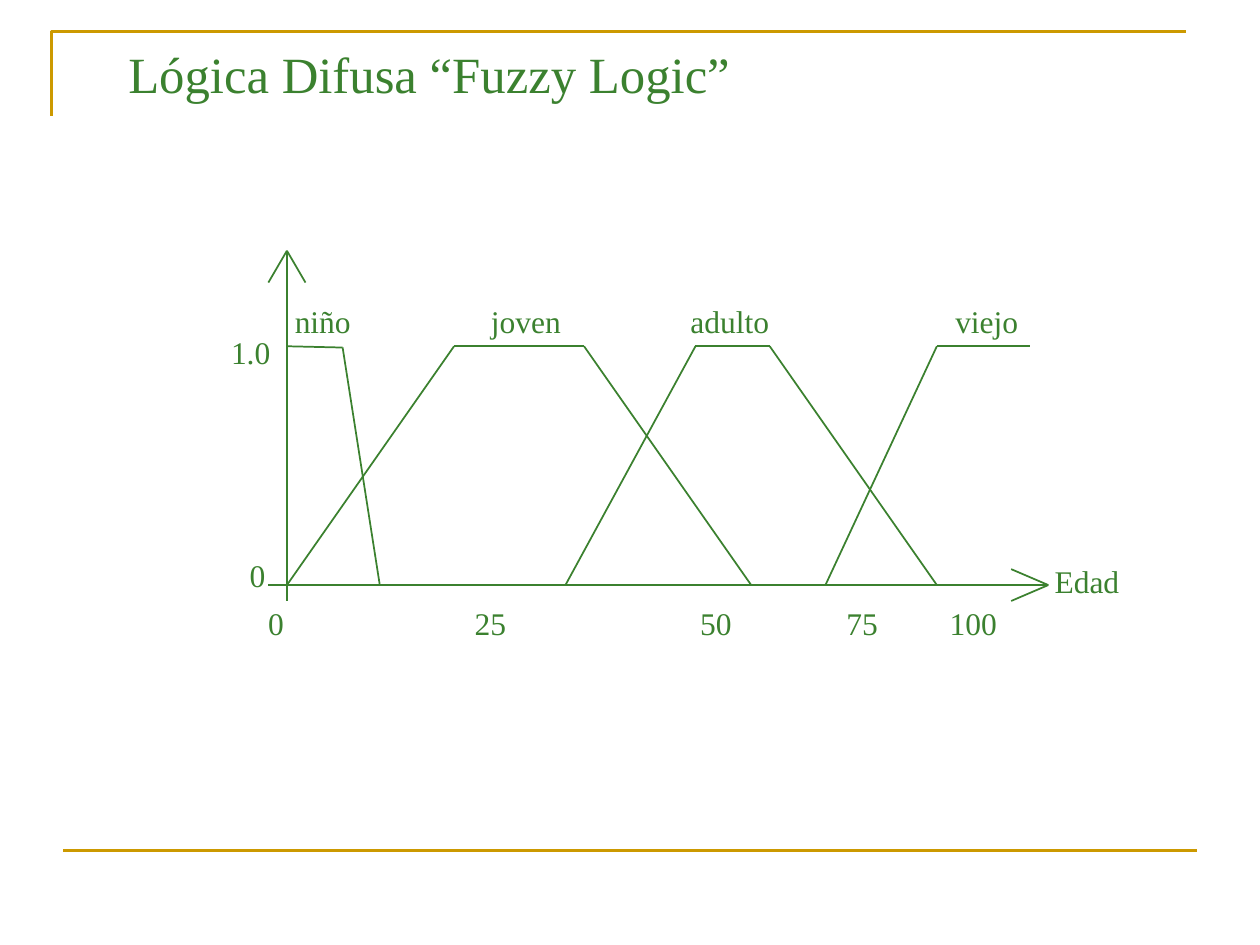
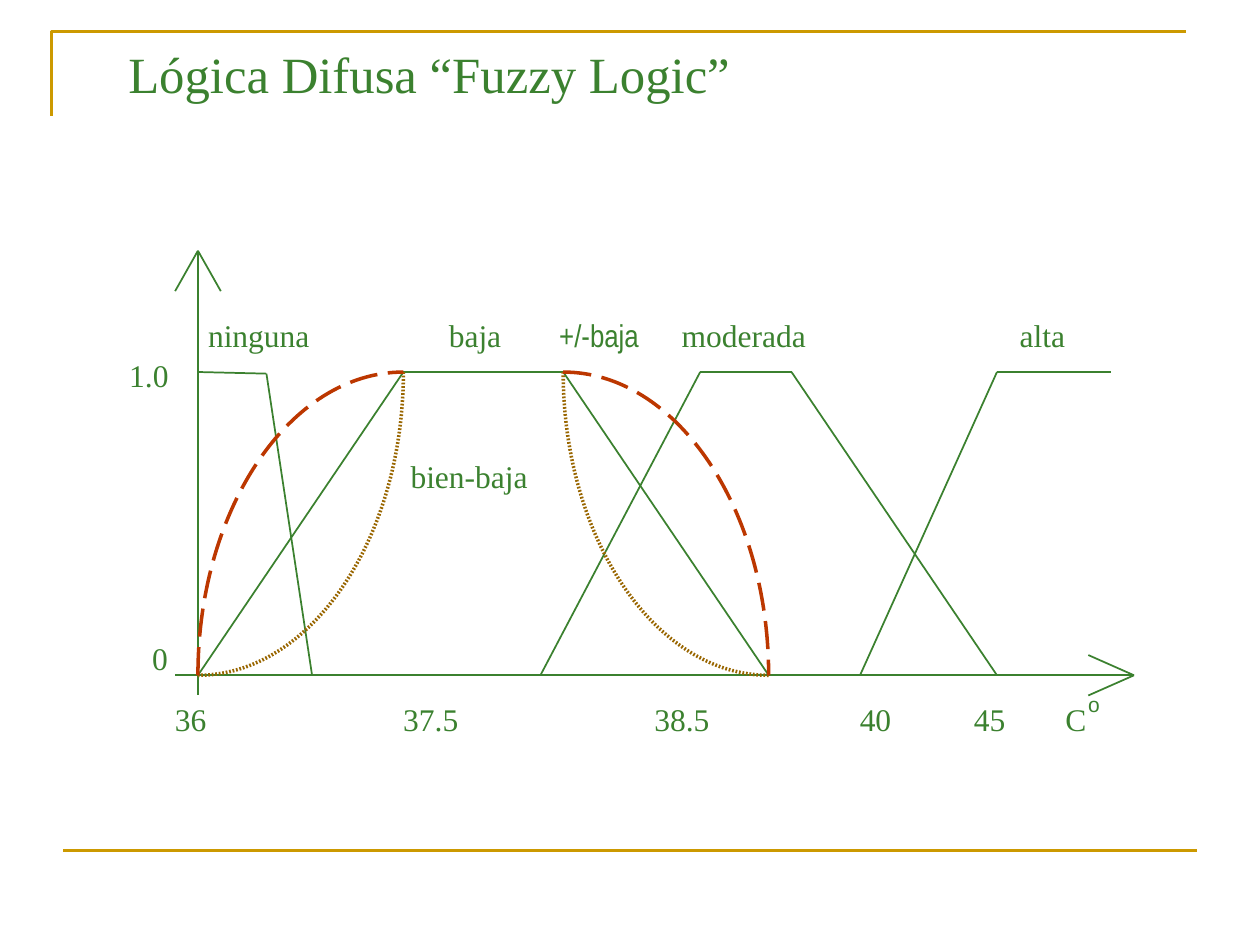
from itertools import pairwise

from lxml import etree
from pptx import Presentation
from pptx.dml.color import RGBColor
from pptx.enum import dml, shapes, text
from pptx.oxml.ns import qn
from pptx.util import Emu, Inches, Pt

WIDE, HIGH = 10, 7.5
GREEN, GOLD, BROWN, RED = "3B812F", "CC9900", "996600", "BC3700"
SERIF, SANS, NARROW = "Times New Roman", "Arial", "Arial Narrow"
PAD, SLACK = 0.1, 0.05
BEND = 0.55  # control point share for a quarter ellipse

# Plot grid: columns count from the vertical axis, rows from its tip
COLS, ROWS = 42, 22
END, PEAK, BASE = 41, 6, 21
AXES = [
    [(0, 0), (0, ROWS)],
    [(-1, BASE), (END, BASE)],
    [(-1, 2), (0, 0), (1, 2)],
    [(END - 2, BASE - 1), (END, BASE), (END - 2, BASE + 1)],
]
SETS = [
    [(0, PEAK), (3, PEAK + 0.08), (5, BASE)],
    [(0, BASE), (9, PEAK), (16, PEAK), (25, BASE)],
    [(15, BASE), (22, PEAK), (26, PEAK), (35, BASE)],
    [(29, BASE), (35, PEAK), (40, PEAK)],
]
# Quarter arcs: start, corner the tangents meet in, end, colour
ARCS = [
    ((9, PEAK), (9, BASE), (0, BASE), BROWN),
    ((25, BASE), (16, BASE), (16, PEAK), BROWN),
    ((0, BASE), (0, PEAK), (9, PEAK), RED),
    ((16, PEAK), (25, PEAK), (25, BASE), RED),
]

# Labels: text, column, row, width in inches, optional format
AGES = [
    ("0", -1, 21.8, 0.32), ("25", 10.12, 21.8, 0.45),
    ("50", 22.27, 21.8, 0.45), ("75", 30.14, 21.8, 0.45),
    ("100", 35.7, 21.8, 0.57),
    ("0", -2, 18.8, 0.32), ("1.0", -3, 4.8, 0.51),
    ("niño", 0.43, 2.85, 0.64), ("joven", 11, 2.85, 0.75),
    ("adulto", 21.74, 2.85, 0.82), ("viejo", 36, 2.85, 0.7),
    ("Edad", 41.35, 19.15, 0.71),
]
FEVER = [
    ("36", -1, 21.93, 0.45), ("37.5", 9, 21.93, 0.64),
    ("38.5", 20, 21.93, 0.64), ("40", 29, 21.93, 0.45),
    ("45", 34, 21.93, 0.45), ("C", 38, 21.93, 0.37),
    ("ο", 39, 21.5, 0.29, {"size": 12, "font": SANS}),
    ("0", -2, 18.88, 0.32), ("1.0", -3, 4.92, 0.51),
    ("ninguna", 0.45, 2.93, 1), ("baja", 11, 2.93, 0.61),
    ("+/-baja", 15.83, 2.93, 0.83, {"font": NARROW}),
    ("moderada", 21.2, 2.93, 1.18), ("alta", 36, 2.93, 0.56),
    ("bien-baja", 9.32, 9.9, 1.13),
]


def paint(line, color, width):
    line.color.rgb = RGBColor.from_string(color)
    line.width = Pt(width)


def write(slide, words, box, size=18, font=SERIF, color=GREEN,
          wrap=False, anchor=text.MSO_ANCHOR.TOP):
    frame = slide.shapes.add_textbox(*map(Inches, box)).text_frame
    frame.word_wrap = wrap
    frame.vertical_anchor = anchor
    if not wrap:
        frame.auto_size = text.MSO_AUTO_SIZE.SHAPE_TO_FIT_TEXT
    run = frame.paragraphs[0].add_run()
    run.text = words
    run.font.size = Pt(size)
    run.font.name = font
    run.font.color.rgb = RGBColor.from_string(color)


def rule(slide, start, end, color=GREEN, width=1):
    line = slide.shapes.add_connector(
        shapes.MSO_CONNECTOR.STRAIGHT, *map(Inches, (*start, *end)))
    paint(line.line, color, width)
    etree.SubElement(line._element.spPr, qn("a:effectLst"))


def trace(slide, points, color, width):
    spots = [(Inches(x), Inches(y)) for x, y in points]
    pen = slide.shapes.build_freeform(*spots[0], scale=1.0)
    pen.add_line_segments(spots[1:], close=False)
    path = pen.convert_to_shape(Emu(0), Emu(0))
    path.fill.background()
    path.shadow.inherit = False
    paint(path.line, color, width)
    return path


def curve(slide, start, corner, end, color):
    """Quarter ellipse: one Bézier segment from start to end."""
    ctrl = [tuple(a + BEND * (c - a) for a, c in zip(tip, corner))
            for tip in (start, end)]
    arc = trace(slide, [start, *ctrl, end], color, 2)
    steps = list(arc._element.spPr.iter(qn("a:lnTo")))
    bend = etree.SubElement(steps[0].getparent(), qn("a:cubicBezTo"))
    for step in steps:
        bend.append(step[0])
        step.getparent().remove(step)

    # Fine dots for the narrow variant, long dashes for the wide one
    if color == RED:
        arc.line.dash_style = dml.MSO_LINE.LONG_DASH
        return
    dots = etree.Element(qn("a:custDash"))
    etree.SubElement(dots, qn("a:ds"), d="50000", sp="50000")
    arc._element.spPr.find(qn("a:ln")).find(qn("a:solidFill")).addnext(dots)


def base(deck, title):
    """Blank slide with the gold frame, closing rule and title."""
    slide = deck.slides.add_slide(deck.slide_layouts[6])
    left, top = 0.41, 0.25
    trace(slide, [(left, 0.92), (left, top), (left + 0.9 * WIDE, top)], GOLD, 1.5)
    low = 0.9 * HIGH
    rule(slide, (0.05 * WIDE, low), (0.95 * WIDE, low), GOLD, 1.5)
    write(slide, title, (0.92, 0.17, 0.85 * WIDE, 0.83), size=29,
          wrap=True, anchor=text.MSO_ANCHOR.MIDDLE)
    return slide


def plot(slide, box, labels, arcs=()):
    """Fuzzy sets over one axis, scaled to the given box."""
    left, top, wide, high = box

    def spot(col, row):
        return left + (col + 1) * wide / COLS, top + row * high / ROWS

    # Axes and sets
    for chain in AXES + SETS:
        for start, end in pairwise(chain):
            rule(slide, spot(*start), spot(*end))

    # Curved variants of the second set
    for *tips, color in arcs:
        curve(slide, *(spot(*tip) for tip in tips), color)

    # Labels
    for words, col, row, width, *style in labels:
        form = style[0] if style else {}
        x, y = spot(col, row)
        tall = 0.3 if form.get("size") == 12 else 0.4
        write(slide, words, (x - PAD, y, width + SLACK, tall), **form)


def main():
    deck = Presentation()
    deck.slide_width, deck.slide_height = Inches(WIDE), Inches(HIGH)
    title = "Lógica Difusa “Fuzzy Logic”"
    plot(base(deck, title), (2.13, 1.99, 6.19, 2.78), AGES)
    plot(base(deck, title), (1.39, 1.99, 7.61, 3.53), FEVER, ARCS)
    deck.save("out.pptx")


if __name__ == "__main__":
    main()
